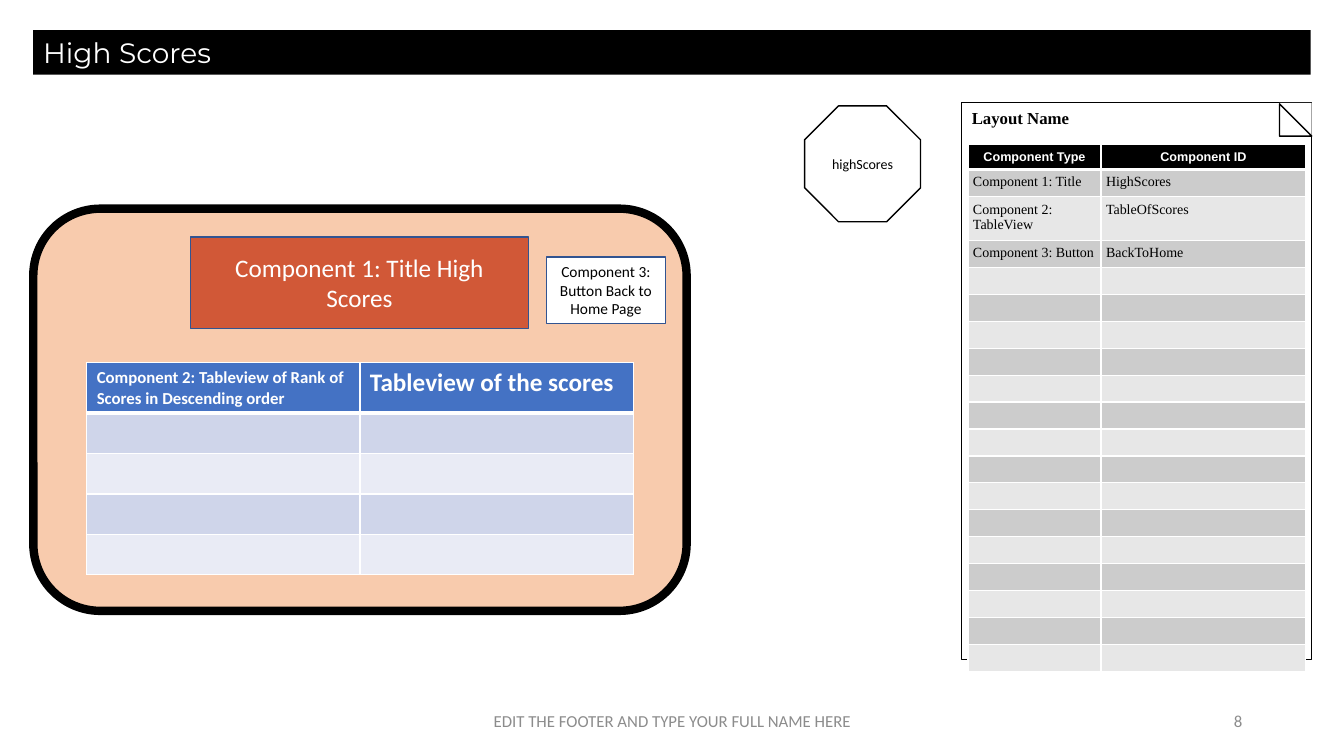
from lxml import etree
from pptx import Presentation
from pptx import util as u
from pptx.dml.color import RGBColor
from pptx.enum import shapes, text
from pptx.oxml import ns

BLACK = RGBColor(0x00, 0x00, 0x00)
WHITE = RGBColor(0xFF, 0xFF, 0xFF)
FOOTER_GRAY = RGBColor(0x8C, 0x8C, 0x8C)
PEACH = RGBColor(0xF8, 0xCB, 0xAD)
ORANGE = RGBColor(0xD1, 0x58, 0x37)
OUTLINE_BLUE = RGBColor(0x32, 0x54, 0x91)
HEADER_BLUE = RGBColor(0x44, 0x72, 0xC4)
BLUE_BANDS = [RGBColor(0xCF, 0xD5, 0xEA), RGBColor(0xE9, 0xEB, 0xF5)]
GRAY_BANDS = [RGBColor(0xCC, 0xCC, 0xCC), RGBColor(0xE7, 0xE7, 0xE7)]
LEFT, CENTER, RIGHT = text.PP_ALIGN.LEFT, text.PP_ALIGN.CENTER, text.PP_ALIGN.RIGHT
TOP, MIDDLE = text.MSO_ANCHOR.TOP, text.MSO_ANCHOR.MIDDLE
KINDS = shapes.MSO_SHAPE


def write(text_frame, wording, size, color, font="Calibri", bold=False, align=CENTER):
    """Fill a text frame with one formatted paragraph."""
    text_frame.word_wrap = True
    text_frame.text = wording
    paragraph = text_frame.paragraphs[0]
    paragraph.alignment = align
    for run in paragraph.runs:
        run.font.size = u.Pt(size)
        run.font.name = font
        run.font.bold = bold
        run.font.color.rgb = color


def add_box(slide, kind, box, fill=None, line=None, width=1):
    """Add a preset shape with an optional fill and outline."""
    shape = slide.shapes.add_shape(kind, *map(u.Inches, box))
    shape.shadow.inherit = False
    if fill is None:
        shape.fill.background()
    else:
        shape.fill.solid()
        shape.fill.fore_color.rgb = fill
    if line is None:
        shape.line.fill.background()
    else:
        shape.line.color.rgb = line
        shape.line.width = u.Pt(width)
    return shape


def style_cell(cell, fill, is_header):
    """Give a cell white borders and a solid fill."""
    properties = cell._tc.get_or_add_tcPr()
    for side in "LRTB":
        points = 3 if is_header and side == "B" else 1
        border = etree.SubElement(properties, ns.qn(f"a:ln{side}"), w=str(u.Pt(points)))
        solid = etree.SubElement(border, ns.qn("a:solidFill"))
        etree.SubElement(solid, ns.qn("a:srgbClr"), val=str(WHITE))
    cell.fill.solid()
    cell.fill.fore_color.rgb = fill


def add_banded_table(slide, box, widths, heights, header_fill, bands):
    """Add a table with a header row and alternating row fills."""
    frame = slide.shapes.add_table(len(heights), len(widths), *map(u.Inches, box))
    table = frame.table
    for column, width in zip(table.columns, widths):
        column.width = u.Inches(width)
    for index, (row, height) in enumerate(zip(table.rows, heights)):
        row.height = u.Inches(height)
        for cell in row.cells:
            style_cell(cell, bands[(index - 1) % 2] if index else header_fill, index == 0)
    return table


def add_title_bar(slide, box):
    """Add the black bar that holds the slide title."""
    bar = add_box(slide, KINDS.RECTANGLE, box, BLACK)
    bar.text_frame.vertical_anchor = TOP
    write(bar.text_frame, "High Scores", 20, WHITE, "Montserrat", align=LEFT)


def add_footer(slide, box):
    """Add the footer wording and the slide number."""
    left, top, width, height = box
    parts = [("EDIT THE FOOTER AND TYPE YOUR FULL NAME HERE", 0, 4.5, CENTER),
             ("8", width - 3, 3, RIGHT)]
    for wording, offset, part_width, align in parts:
        part = slide.shapes.add_textbox(*map(u.Inches, (left + offset, top, part_width, height)))
        part.text_frame.vertical_anchor = MIDDLE
        write(part.text_frame, wording, 12, FOOTER_GRAY, align=align)


def add_screen_name(slide, box):
    """Add the octagon that names the screen."""
    octagon = add_box(slide, KINDS.OCTAGON, box, line=BLACK)
    write(octagon.text_frame, "highScores", 10, BLACK)


def add_screen_mockup(slide, box):
    """Add the phone screen with its title, button and score table."""
    left, top, width, height = box
    inset = (width - height) / 2
    phone = add_box(slide, KINDS.ROUNDED_RECTANGLE,
                    (left + inset, top - inset, height, width), PEACH, BLACK, 6)
    phone.rotation = 90

    title = add_box(slide, KINDS.RECTANGLE, (left + 1.56, top + 0.28, 3.35, 0.91),
                    ORANGE, OUTLINE_BLUE)
    write(title.text_frame, "Component 1: Title High Scores", 18, WHITE)
    button = add_box(slide, KINDS.RECTANGLE, (left + 5.09, top + 0.48, 1.18, 0.66),
                     WHITE, OUTLINE_BLUE)
    write(button.text_frame, "Component 3: Button Back to Home Page", 11, BLACK)

    scores = add_banded_table(slide, (left + 0.53, top + 1.53, 5.42, 2.1), [2.71] * 2,
                              [0.5] + [0.4] * 4, HEADER_BLUE, BLUE_BANDS)
    headings = [("Component 2: Tableview of Rank of Scores in Descending order", 12),
                ("Tableview of the scores", 18)]
    for cell, (wording, size) in zip(scores.rows[0].cells, headings):
        write(cell.text_frame, wording, size, WHITE, bold=True, align=LEFT)


def add_layout_sheet(slide, box):
    """Add the folded sheet that lists the layout components."""
    left, top, width, height = box
    sheet = add_box(slide, KINDS.RECTANGLE, box, line=BLACK, width=0.75)
    sheet.text_frame.vertical_anchor = TOP
    write(sheet.text_frame, "Layout Name", 12, BLACK, "Times New Roman", True, LEFT)

    fold = 0.32
    corner = left + width - fold
    add_box(slide, KINDS.RECTANGLE, (corner, top, fold, fold), WHITE)
    flap = add_box(slide, KINDS.ISOSCELES_TRIANGLE, (corner, top + 0.01, fold, fold), WHITE, BLACK)
    flap.adjustments[0] = 0

    rows = [("Component Type", "Component ID"),
            ("Component 1: Title", "HighScores"),
            ("Component 2: TableView", "TableOfScores"),
            ("Component 3: Button", "BackToHome")] + [("", "")] * 15
    heights = [0.25, 0.27, 0.43] + [0.267] * 16
    table = add_banded_table(slide, (left + 0.06, top + 0.41, 3.35, sum(heights)),
                             [1.32, 2.03], heights, BLACK, GRAY_BANDS)
    for index, (row, wordings) in enumerate(zip(table.rows, rows)):
        for cell, wording in zip(row.cells, wordings):
            cell.margin_left = cell.margin_right = u.Inches(0.05)
            cell.margin_top = cell.margin_bottom = u.Inches(0.05)
            if index == 0:
                cell.vertical_anchor = MIDDLE
                write(cell.text_frame, wording, 9, WHITE, "Arial", True)
            elif wording:
                write(cell.text_frame, wording, 10, BLACK, "Times New Roman", align=LEFT)
            else:
                paragraph = cell.text_frame.paragraphs[0]
                etree.SubElement(paragraph._p, ns.qn("a:endParaRPr"), sz="1000")


def main():
    """Build and save the High Scores slide."""
    presentation = Presentation()
    presentation.slide_width = u.Inches(13.33)
    presentation.slide_height = u.Inches(7.5)
    slide = presentation.slides.add_slide(presentation.slide_layouts[6])
    add_screen_name(slide, (7.98, 1.05, 1.15, 1.15))
    add_title_bar(slide, (0.33, 0.3, 12.67, 0.44))
    add_footer(slide, (4.42, 6.95, 8, 0.4))
    add_screen_mockup(slide, (0.33, 2.07, 6.48, 3.99))
    add_layout_sheet(slide, (9.54, 1.02, 3.47, 5.52))
    presentation.save("out.pptx")


main()
